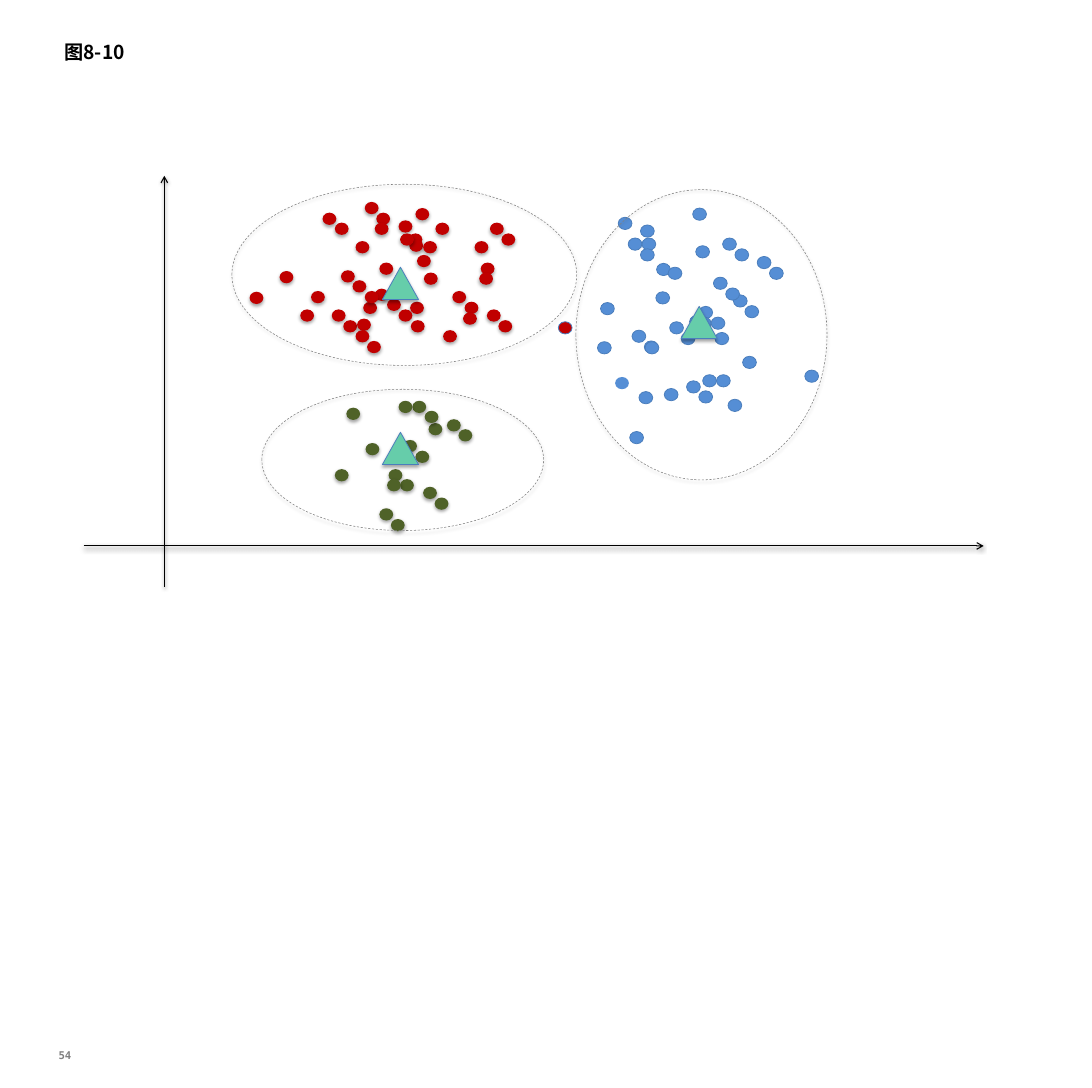
from lxml.etree import SubElement
from pptx import Presentation
from pptx.dml.color import RGBColor
from pptx.enum.dml import MSO_LINE
from pptx.enum.shapes import MSO_CONNECTOR, MSO_SHAPE
from pptx.enum.text import MSO_ANCHOR, PP_ALIGN
from pptx.oxml.ns import qn
from pptx.util import Cm, Pt

RED = RGBColor(0xC0, 0x00, 0x00)
GREEN = RGBColor(0x4F, 0x62, 0x28)
BLUE = RGBColor(0x55, 0x8E, 0xD5)
EDGE = RGBColor(0x4B, 0x7E, 0xBC)
AQUA = RGBColor(0x66, 0xCD, 0xAA)
GRAY = RGBColor(0x80, 0x80, 0x80)
BLACK = RGBColor(0x00, 0x00, 0x00)

# Content: every position and size is in inches
TITLE, PAGE_NUMBER = "图8-10", "54"
TITLE_FONT, NUMBER_FONT = "Noto Sans CJK SC", "DejaVu Sans Mono"

RED_DOTS = [
    (4.44, 3.52), (4.59, 3.65), (4.05, 3.79), (4.73, 3.93), (4.88, 3.76),
    (5.04, 3.89), (4.32, 4.03), (4.47, 4.17), (4.75, 2.63), (4.9, 2.77),
    (4.2, 2.77), (4.88, 2.9), (5.19, 2.87), (5.41, 2.71), (4.63, 3.14),
    (6.18, 3.14), (5.89, 3.79), (6.05, 3.93), (5.34, 3.93), (6.03, 4.07),
    (6.34, 4.03), (6.49, 4.17), (5.77, 4.3), (6.38, 2.9), (6.53, 3.04),
    (5.67, 2.9), (5.32, 3.04), (5.33, 3.12), (5.52, 3.55), (6.26, 3.42),
    (6.24, 3.55), (4.75, 3.79), (4.65, 4.15), (3.91, 4.03), (5.19, 4.03),
    (5.35, 4.17), (4.63, 4.3), (4.78, 4.44), (3.25, 3.8), (5.21, 3.04),
    (4.36, 2.9), (5.51, 3.14), (5.43, 3.32), (4.94, 3.42), (3.64, 3.53),
]
GREEN_DOTS = [
    (5.58, 5.51), (4.76, 5.77), (5.06, 6.11), (5.21, 6.24), (4.36, 6.11),
    (5.04, 6.24), (5.51, 6.34), (5.66, 6.48), (4.94, 6.62), (5.09, 6.76),
    (5.37, 5.22), (5.53, 5.35), (4.51, 5.31), (5.19, 5.22), (5.82, 5.46),
    (5.97, 5.59), (5.25, 5.73), (5.41, 5.87),
]
BLUE_DOTS = [
    (8.23, 4.3), (8.39, 4.44), (8.05, 2.83), (8.18, 3.1), (8.34, 2.93),
    (9.06, 3.2), (9.1, 3.99), (9.26, 4.13), (8.4, 4.45), (9.08, 4.13),
    (9.55, 3.84), (9.7, 3.98), (8.98, 4.11), (9.31, 4.33), (9.41, 3.1),
    (9.57, 3.24), (8.55, 3.43), (9.02, 2.71), (9.86, 3.34), (10.02, 3.48),
    (9.29, 3.61), (9.45, 3.75), (7.78, 4.45), (8.72, 4.19), (8.87, 4.33),
    (8.36, 3.1), (8.34, 3.24), (8.54, 3.8), (8.7, 3.48), (7.82, 3.94),
    (9.33, 4.88), (9.48, 5.2), (9.15, 4.88), (10.48, 4.82), (8.32, 5.1),
    (8.65, 5.06), (8.94, 4.96), (9.1, 5.09), (8.2, 5.62), (9.67, 4.64),
]
BLUE_PLAIN_DOTS = [(8.01, 4.91)]
BOUNDARY_DOTS = [(7.27, 4.19)]
# dots, fill, outline, shadowed
DOT_GROUPS = [
    (RED_DOTS, RED, None, True),
    (GREEN_DOTS, GREEN, None, True),
    (BLUE_DOTS, BLUE, EDGE, False),
    (BLUE_PLAIN_DOTS, BLUE, None, False),
    (BOUNDARY_DOTS, RED, EDGE, False),
]
DOT_SIZE = (0.18, 0.16)
CENTROIDS = [(4.98, 3.48), (8.87, 3.99), (4.98, 5.63)]
CENTROID_SIZE = (0.47, 0.42)
AXES = [(2.14, 7.64, 2.14, 2.29), (1.09, 7.11, 12.81, 7.11)]
CLUSTERS = [(3.02, 2.4, 4.49, 2.36), (3.41, 5.07, 3.67, 1.84), (7.5, 2.47, 3.27, 3.78)]


def lengths(*inches):
    return [Cm(value * 2.54) for value in inches]


def add_shadow(effects, distance, opacity):
    outer = SubElement(effects, qn("a:outerShdw"), blurRad=str(Pt(3.1)),
                       dist=str(Pt(distance)), dir="5400000", rotWithShape="0")
    color = SubElement(outer, qn("a:srgbClr"), val=str(BLACK))
    SubElement(color, qn("a:alpha"), val=str(opacity * 1000))


def add_mark(kind, box, fill, outline, width=0.75, shadowed=True):
    mark = slide.shapes.add_shape(kind, *lengths(*box))
    if fill is None:
        mark.fill.background()
    else:
        mark.fill.solid()
        mark.fill.fore_color.rgb = fill
    if outline is None:
        mark.line.fill.background()
    else:
        mark.line.color.rgb = outline
        mark.line.width = Pt(width)
    mark.shadow.inherit = False
    if shadowed:
        add_shadow(mark._element.spPr.find(qn("a:effectLst")), 1.8, 35)
    return mark


def write(paragraph, text, font, size, color):
    run = paragraph.add_run()
    run.text = text
    run.font.name, run.font.size, run.font.bold = font, Pt(size), True
    run.font.color.rgb = color
    SubElement(run._r.get_or_add_rPr(), qn("a:ea"), typeface=font)


def set_margins(frame, side, top):
    frame.margin_left = frame.margin_right = Cm(side)
    frame.margin_top = frame.margin_bottom = Cm(top)


deck = Presentation()
deck.slide_width, deck.slide_height = lengths(14.22, 14.17)
slide = deck.slides.add_slide(deck.slide_layouts[5])

# Page number
number = slide.shapes.add_textbox(*lengths(0.64, 13.67, 0.41, 0.16)).text_frame
number.word_wrap = True
set_margins(number, 0, 0)
number_line = number.paragraphs[0]
number_line.alignment = PP_ALIGN.CENTER
number_line.line_spacing = Pt(11.2)
write(number_line, PAGE_NUMBER, NUMBER_FONT, 10, GRAY)

# Title
title = slide.shapes.title
title.left, title.top, title.width, title.height = lengths(0.71, 0.36, 12.8, 0.63)
heading = title.text_frame
heading.vertical_anchor = MSO_ANCHOR.MIDDLE
set_margins(heading, 0.33, 0.15)
heading.paragraphs[0].alignment = PP_ALIGN.LEFT
write(heading.paragraphs[0], TITLE, TITLE_FONT, 18, BLACK)

# Data points
for dots, fill, outline, shadowed in DOT_GROUPS:
    for dot in dots:
        add_mark(MSO_SHAPE.OVAL, dot + DOT_SIZE, fill, outline, shadowed=shadowed)

# Cluster centres
for centroid in CENTROIDS:
    add_mark(MSO_SHAPE.ISOSCELES_TRIANGLE, centroid + CENTROID_SIZE, AQUA, EDGE)

# Axes
for ends in AXES:
    axis = slide.shapes.add_connector(MSO_CONNECTOR.STRAIGHT, *lengths(*ends))
    axis.line.color.rgb = BLACK
    axis.line.width = Pt(1)
    SubElement(axis.line._get_or_add_ln(), qn("a:tailEnd"), type="arrow")
    add_shadow(SubElement(axis._element.spPr, qn("a:effectLst")), 1.6, 38)

# Cluster outlines
for cluster in CLUSTERS:
    ring = add_mark(MSO_SHAPE.OVAL, cluster, None, GRAY, width=0.5)
    ring.line.dash_style = MSO_LINE.DASH

deck.save("out.pptx")
